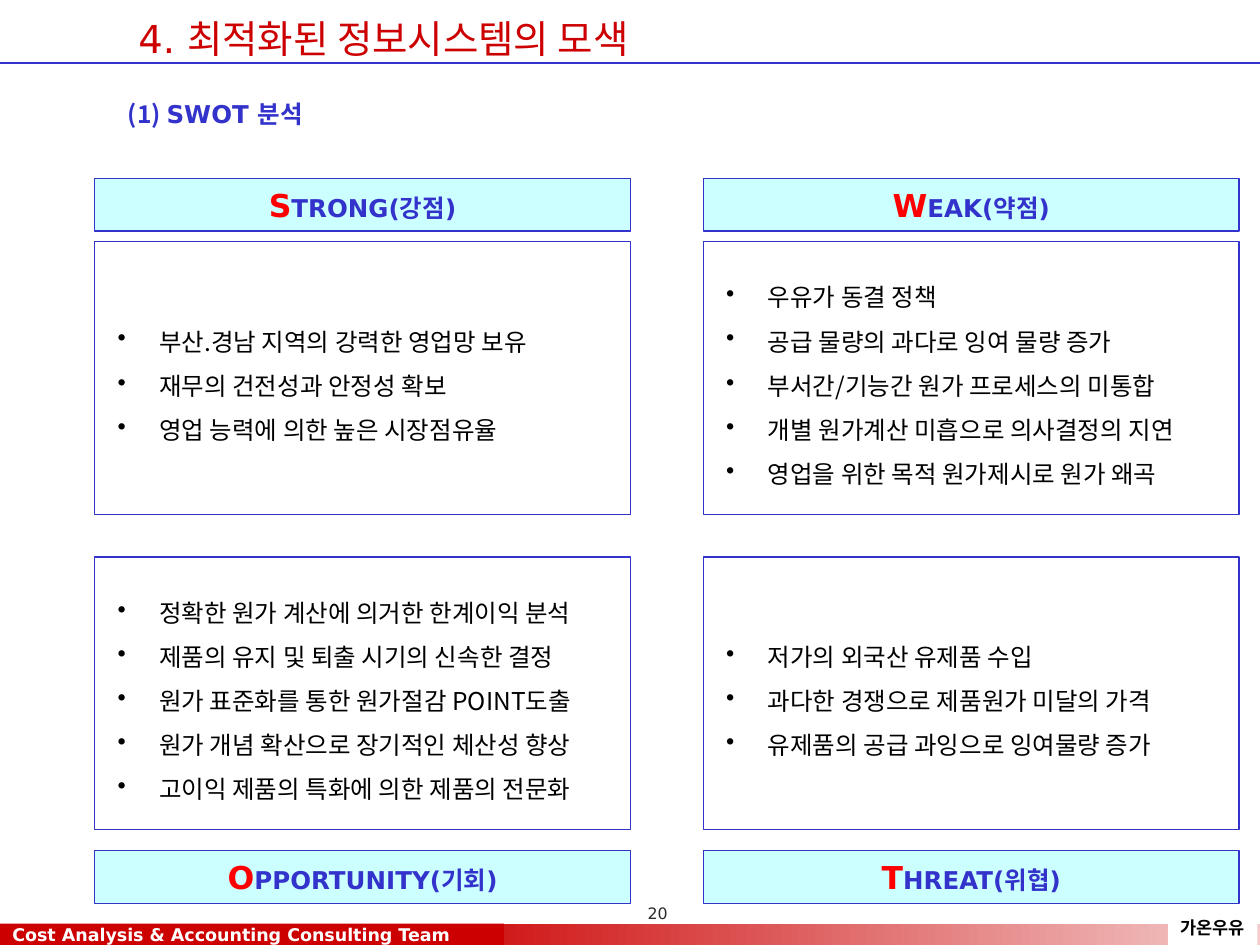
from dataclasses import dataclass

from lxml.etree import SubElement
from pptx import Presentation
from pptx.dml.color import RGBColor
from pptx.enum.shapes import MSO_CONNECTOR, MSO_SHAPE
from pptx.enum.text import MSO_ANCHOR, PP_ALIGN
from pptx.oxml.ns import qn
from pptx.util import Cm, Pt


@dataclass(frozen=True)
class Theme:
    red: str = "CC0000"
    pale_red: str = "F3CBCB"
    initial: str = "FF0000"
    blue: str = "3333CC"
    cyan: str = "CCFFFF"
    white: str = "FFFFFF"
    black: str = "000000"
    grey: str = "292929"
    latin: str = "DejaVu Sans"
    korean: str = "Noto Sans CJK KR"
    title: int = 22
    initial_size: int = 18
    body: int = 14
    footer: int = 10
    number: int = 9
    line: float = 0.75


class SlideBuilder:
    def __init__(self, page, theme):
        self.page = page
        self.theme = theme

    def style(self, font, holder, size, color, bold=False, face=None):
        font.size = Pt(size)
        font.bold = bold
        font.color.rgb = RGBColor.from_string(color)
        font.name = face or self.theme.latin
        SubElement(holder(), qn("a:ea"), typeface=self.theme.korean)

    def style_para(self, para, *args, **kwargs):
        self.style(para.font, lambda: para._p.pPr.find(qn("a:defRPr")), *args, **kwargs)

    def add_span(self, para, text, *args, **kwargs):
        span = para.add_run()
        span.text = text
        self.style(span.font, span._r.get_or_add_rPr, *args, **kwargs)

    def rect(self, x, y, width, height, fill, outlined=False):
        box = self.page.shapes.add_shape(
            MSO_SHAPE.RECTANGLE, Cm(x), Cm(y), Cm(width), Cm(height))
        box.shadow.inherit = False
        box.fill.solid()
        box.fill.fore_color.rgb = RGBColor.from_string(fill)
        if outlined:
            box.line.color.rgb = RGBColor.from_string(self.theme.blue)
            box.line.width = Pt(self.theme.line)
        else:
            box.line.fill.background()
        return box

    def gradient_bar(self, x, y, width, height, colors):
        bar = self.rect(x, y, width, height, colors[0])
        bar.fill.gradient()
        bar.fill.gradient_angle = 0
        for stop, color in zip(bar.fill.gradient_stops, colors):
            stop.color.rgb = RGBColor.from_string(color)

    def rule(self, y, width):
        rule = self.page.shapes.add_connector(
            MSO_CONNECTOR.STRAIGHT, Cm(0), Cm(y), Cm(width), Cm(y))
        rule.line.color.rgb = RGBColor.from_string(self.theme.blue)
        rule.line.width = Pt(self.theme.line)
        SubElement(rule._element.spPr, qn("a:effectLst"))

    def first_para(self, box, anchor=MSO_ANCHOR.MIDDLE, align=PP_ALIGN.LEFT, wrap=True):
        frame = box.text_frame
        frame.word_wrap = wrap
        frame.vertical_anchor = anchor
        para = frame.paragraphs[0]
        para.alignment = align
        return para

    def label(self, box, text, size, color, bold=False, **layout):
        para = self.first_para(box, **layout)
        para.text = text
        self.style_para(para, size, color, bold)
        return para

    def text_box(self, x, y, width, height):
        return self.page.shapes.add_textbox(Cm(x), Cm(y), Cm(width), Cm(height))

    def heading(self, x, y, width, height, text):
        theme = self.theme
        box = self.rect(x, y, width, height, theme.cyan, outlined=True)
        para = self.first_para(box, align=PP_ALIGN.CENTER)
        self.add_span(para, text[0], theme.initial_size, theme.initial, True)
        self.add_span(para, text[1:], theme.body, theme.blue, True)

    def bullet_list(self, x, y, width, height, items):
        theme = self.theme
        box = self.rect(x, y, width, height, theme.white, outlined=True)
        self.first_para(box)
        frame = box.text_frame
        frame.margin_left = Cm(0.46)
        for index, item in enumerate(items):
            para = frame.add_paragraph() if index else frame.paragraphs[0]
            para.text = item
            para.alignment = PP_ALIGN.LEFT
            para.line_spacing = 1.5
            props = para._p.get_or_add_pPr()
            props.set("marL", str(Cm(0.84)))
            props.set("indent", str(-Cm(0.84)))
            SubElement(props, qn("a:buChar"), char="•")
            self.style_para(para, theme.body, theme.black, face=theme.korean)


def main():
    theme = Theme()
    deck = Presentation()
    deck.slide_width, deck.slide_height = Cm(25.4), Cm(19.05)
    page = deck.slides.add_slide(deck.slide_layouts[6])
    build = SlideBuilder(page, theme)

    # Footer band and rule under the title
    build.gradient_bar(7.82, 18.62, 17.58, 0.43, (theme.red, theme.pale_red))
    build.rule(1.27, 25.4)
    team = build.rect(0, 18.62, 10.16, 0.43, theme.red)
    build.label(team, "Cost Analysis & Accounting Consulting Team",
                theme.footer, theme.white, True)
    company = build.rect(23.55, 18.36, 1.8, 0.69, theme.white)
    build.label(company, "가온우유", theme.footer, theme.black, True,
                anchor=MSO_ANCHOR.TOP, align=PP_ALIGN.CENTER, wrap=False)

    # Title and subtitle
    title = build.label(build.text_box(2.54, 0, 19.69, 1.27),
                        "4. 최적화된 정보시스템의 모색", theme.title, theme.red)
    title.line_spacing = 1.3
    subtitle = build.first_para(build.text_box(2.33, 1.69, 20.96, 0.85),
                                anchor=MSO_ANCHOR.TOP)
    subtitle.line_spacing = 1.3
    build.add_span(subtitle, "(1) ", theme.body, theme.blue, True, theme.korean)
    build.add_span(subtitle, "SWOT 분석", theme.body, theme.blue, True)

    # SWOT quadrants: headings sit on the outer edge of each row
    columns, width = (1.91, 14.18), 10.8
    rows = ((3.6, 4.87), (17.15, 11.23))
    quadrants = (
        (("STRONG(강점)", (
            "부산.경남 지역의 강력한 영업망 보유",
            "재무의 건전성과 안정성 확보",
            "영업 능력에 의한 높은 시장점유율")),
         ("WEAK(약점)", (
             "우유가 동결 정책",
             "공급 물량의 과다로 잉여 물량 증가",
             "부서간/기능간 원가 프로세스의 미통합",
             "개별 원가계산 미흡으로 의사결정의 지연",
             "영업을 위한 목적 원가제시로 원가 왜곡"))),
        (("OPPORTUNITY(기회)", (
            "정확한 원가 계산에 의거한 한계이익 분석",
            "제품의 유지 및 퇴출 시기의 신속한 결정",
            "원가 표준화를 통한 원가절감 POINT도출",
            "원가 개념 확산으로 장기적인 체산성 향상",
            "고이익 제품의 특화에 의한 제품의 전문화")),
         ("THREAT(위협)", (
             "저가의 외국산 유제품 수입",
             "과다한 경쟁으로 제품원가 미달의 가격",
             "유제품의 공급 과잉으로 잉여물량 증가"))),
    )
    for (heading_y, list_y), row in zip(rows, quadrants):
        for x, (name, items) in zip(columns, row):
            build.heading(x, heading_y, width, 1.06, name)
            build.bullet_list(x, list_y, width, 5.5, items)

    # Page number
    number = build.text_box(11.23, 18.1, 3.81, 0.64)
    number.text_frame.margin_right = 0
    build.label(number, "20", theme.number, theme.grey,
                anchor=MSO_ANCHOR.TOP, align=PP_ALIGN.CENTER)

    deck.save("out.pptx")


if __name__ == "__main__":
    main()
